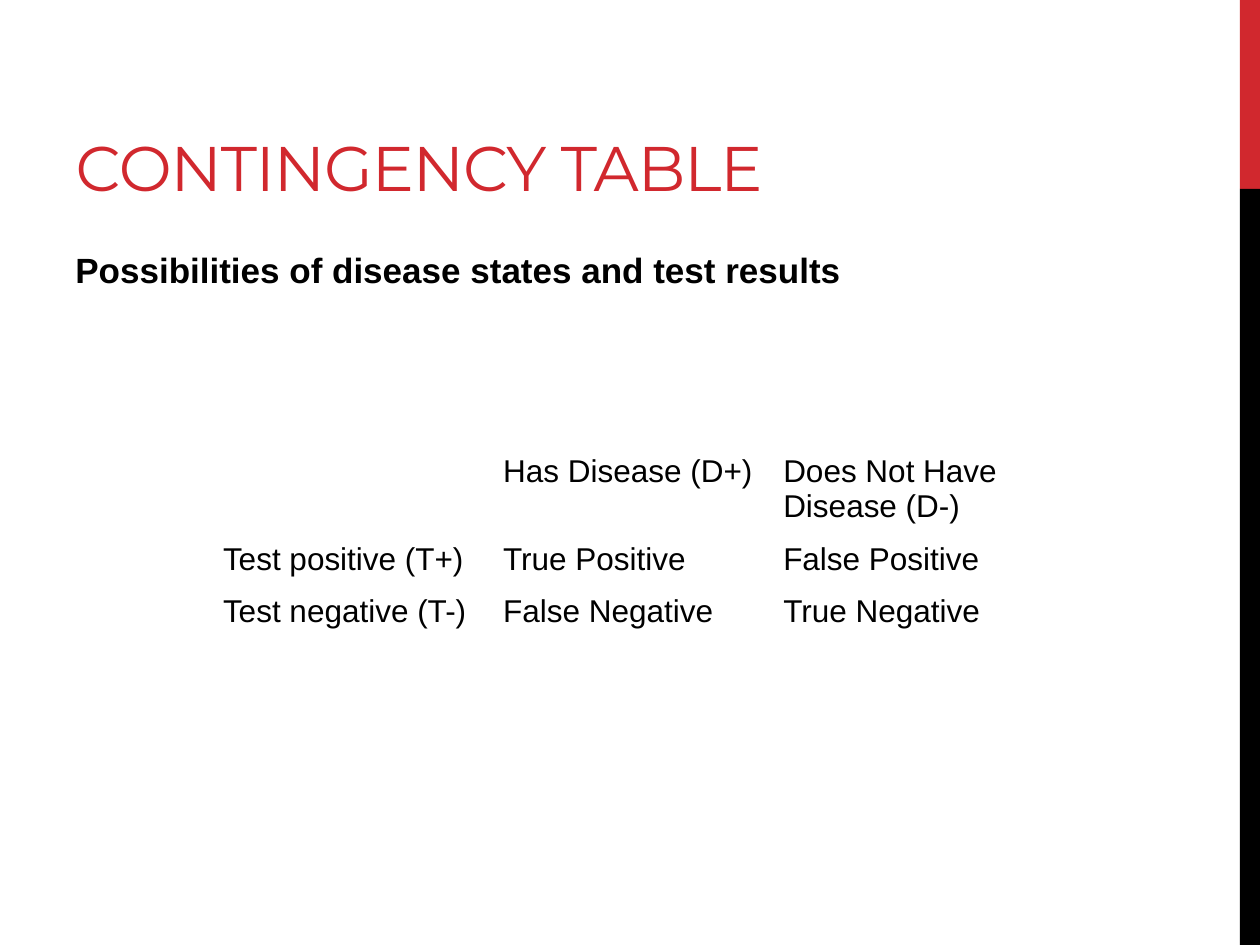
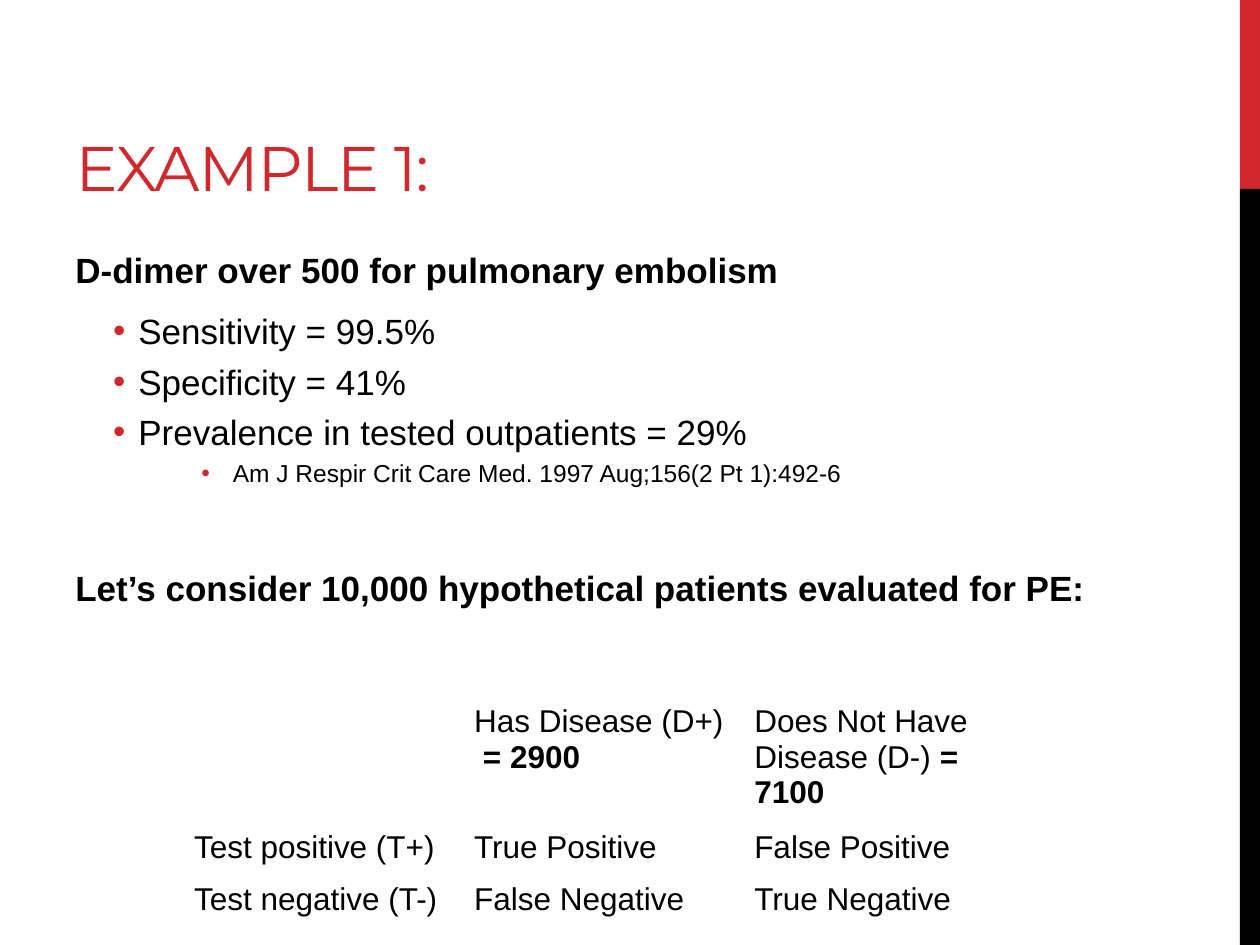
from pptx import Presentation
from pptx.dml.color import RGBColor
from pptx.enum.shapes import MSO_SHAPE
from pptx.enum.text import MSO_ANCHOR, MSO_AUTO_SIZE, PP_ALIGN
from pptx.util import Inches, Pt
from lxml.etree import SubElement
from pptx.oxml.ns import qn

RED = RGBColor(0xD1, 0x28, 0x2E)
BLACK = RGBColor(0, 0, 0)
BANDS = [(0, 1.5, RED), (1.5, 6, BLACK)]
ROWS = [["Test positive (T+)", "True Positive", "False Positive"],
        ["Test negative (T-)", "False Negative", "True Negative"]]


def write(p, text, size=20, bold=False, color=BLACK, font="Arial", before=0, after=0):
    p.alignment = PP_ALIGN.LEFT
    p.space_before, p.space_after = Pt(before), Pt(after)
    r = p.add_run()
    r.text = text
    r.font.size, r.font.bold, r.font.name = Pt(size), bold, font
    r.font.color.rgb = color
    return r


def add_bullet(p, level, margin, indent):
    p.level = level
    pPr = p._p.get_or_add_pPr()
    pPr.set("marL", str(Inches(margin)))
    pPr.set("indent", str(Inches(indent)))
    clr = SubElement(pPr, qn("a:buClr"))
    SubElement(clr, qn("a:srgbClr")).set("val", str(RED))
    SubElement(pPr, qn("a:buFont")).set("typeface", "Arial")
    SubElement(pPr, qn("a:buChar")).set("char", "•")


HEADING = dict(bold=True, before=5, after=6)
MAIN = (1, 0.5, -0.2)
CITATION = (2, 1.25, -0.25)

slides = [
    dict(title="CONTINGENCY TABLE",
         body=[("Possibilities of disease states and test results", HEADING, None)],
         table_at=(1.67, 3.55),
         header=[[], [[("Has Disease (D+)", False)]],
                 [[("Does Not Have Disease (D-)", False)]]]),
    dict(title="EXAMPLE 1:",
         body=[("D-dimer over 500 for pulmonary embolism", HEADING, None),
               ("Sensitivity = 99.5%", dict(before=5), MAIN),
               ("Specificity = 41%", dict(before=5), MAIN),
               ("Prevalence in tested outpatients = 29%", dict(before=5), MAIN),
               ("Am J Respir Crit Care Med. 1997 Aug;156(2 Pt 1):492-6",
                dict(size=14, before=3), CITATION),
               ("Let’s consider 10,000 hypothetical patients evaluated for PE:",
                dict(HEADING, before=45), None)],
         table_at=(1.44, 5.54),
         header=[[], [[("Has Disease (D+)", False)], [(" ", False), ("= 2900", True)]],
                 [[("Does Not Have Disease (D-) ", False), ("= 7100", True)]]]),
]

prs = Presentation()
prs.slide_width, prs.slide_height = Inches(10), Inches(7.5)

for content in slides:
    s = prs.slides.add_slide(prs.slide_layouts[5])
    for top, height, color in BANDS:
        sp = s.shapes.add_shape(MSO_SHAPE.RECTANGLE, Inches(9.84), Inches(top),
                                Inches(0.16), Inches(height))
        sp.shadow.inherit = False
        sp.fill.solid()
        sp.fill.fore_color.rgb = color
        sp.line.fill.background()

    title = s.shapes.title
    title.left, title.top = Inches(0.5), Inches(0.17)
    title.width, title.height = Inches(6.33), Inches(1.5)
    tf = title.text_frame
    tf.word_wrap, tf.auto_size = True, MSO_AUTO_SIZE.NONE
    tf.vertical_anchor = MSO_ANCHOR.BOTTOM
    r = write(tf.paragraphs[0], content["title"], size=36, color=RED, font="Montserrat")
    r.font._element.set("spc", "-60")

    tf = s.shapes.add_textbox(Inches(0.5), Inches(1.92), Inches(8.33), Inches(4.78)).text_frame
    tf.word_wrap = True
    for i, (text, fmt, bullet) in enumerate(content["body"]):
        p = tf.add_paragraph() if i else tf.paragraphs[0]
        write(p, text, **fmt)
        if bullet:
            add_bullet(p, *bullet)

    left, top = content["table_at"]
    table = s.shapes.add_table(3, 3, Inches(left), Inches(top),
                               Inches(6.67), Inches(1.23)).table
    table.first_row = table.horz_banding = False
    rows = [content["header"]] + [[[[(text, False)]] for text in row] for row in ROWS]
    for i, row in enumerate(rows):
        table.rows[i].height = Inches(0.41)
        for j, paragraphs in enumerate(row):
            cell = table.cell(i, j)
            cell.fill.background()
            for k, runs in enumerate(paragraphs):
                p = cell.text_frame.add_paragraph() if k else cell.text_frame.paragraphs[0]
                for text, bold in runs:
                    write(p, text, size=18, bold=bold)

prs.save("out.pptx")
